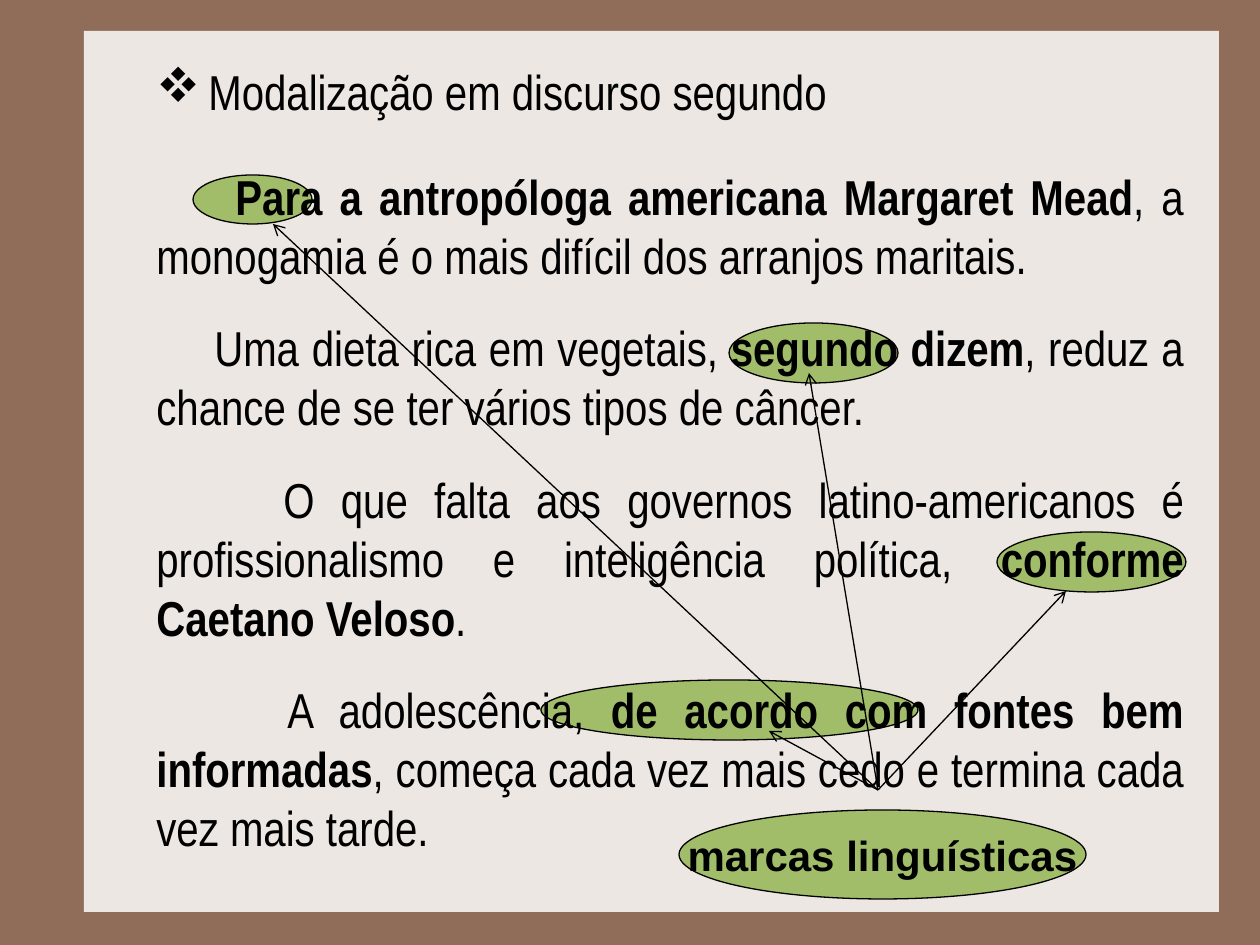
from pptx import Presentation
from pptx.dml.color import RGBColor
from pptx.enum.shapes import MSO_CONNECTOR, MSO_SHAPE
from pptx.enum.text import MSO_ANCHOR, PP_ALIGN
from pptx.oxml.ns import qn
from pptx.util import Pt
from lxml.etree import SubElement

UNIT = 914400 / 126
BROWN = RGBColor(0x90, 0x6D, 0x58)
CREAM = RGBColor(0xED, 0xE7, 0xE3)
GREEN = RGBColor(0xA1, 0xBD, 0x69)
BLACK = RGBColor(0, 0, 0)


def emu(*sizes):
    """Turn pixels into EMU."""
    return [round(size * UNIT) for size in sizes]


class Board:
    """Hold the style and the current slide."""

    def __init__(self, deck):
        self.slide = deck.slides.add_slide(deck.slide_layouts[6])
        self.shapes = self.slide.shapes
        fill = self.slide.background.fill
        fill.solid()
        fill.fore_color.rgb = BROWN

    def shape(self, kind, box, color, edge=None):
        """Add a filled preset shape."""
        item = self.shapes.add_shape(kind, *emu(*box))
        item.shadow.inherit = False
        item.fill.solid()
        item.fill.fore_color.rgb = color
        if edge is None:
            item.line.fill.background()
        else:
            item.line.color.rgb = edge
            item.line.width = Pt(0.75)
        return item

    def oval(self, box):
        """Add a green marker."""
        return self.shape(MSO_SHAPE.OVAL, box, GREEN, BLACK)

    def arrow(self, start, end):
        """Add a thin line with an open head at its end."""
        line = self.shapes.add_connector(MSO_CONNECTOR.STRAIGHT, *emu(*start, *end))
        line.line.color.rgb = BLACK
        line.line.width = Pt(0.75)
        SubElement(line.line._get_or_add_ln(), qn("a:tailEnd"), type="arrow")
        SubElement(line._element.spPr, qn("a:effectLst"))

    def run(self, para, text, size, face, bold=False):
        """Add a styled run."""
        run = para.add_run()
        run.text = text
        font = run.font
        font.size, font.name, font.bold = Pt(size), face, bold
        font.color.rgb = BLACK

    def label(self, item, text):
        """Write a bold centred label on a shape."""
        frame = item.text_frame
        frame.word_wrap = False
        frame.vertical_anchor = MSO_ANCHOR.MIDDLE
        para = frame.paragraphs[0]
        para.alignment = PP_ALIGN.CENTER
        self.run(para, text, 24, "Arial", True)

    def body(self, box, items):
        """Add justified paragraphs whose odd runs are bold."""
        frame = self.shapes.add_textbox(*emu(*box)).text_frame
        frame.word_wrap = True
        for rank, (indent, gap, parts) in enumerate(items):
            para = frame.paragraphs[0] if rank == 0 else frame.add_paragraph()
            para.alignment = PP_ALIGN.JUSTIFY
            para.space_before = Pt(gap)
            props = para._p.get_or_add_pPr()
            props.set("marL", str(emu(max(-indent, 0))[0]))
            props.set("indent", str(emu(indent)[0]))
            if indent < 0:
                SubElement(props, qn("a:buFont"), typeface="Wingdings")
                SubElement(props, qn("a:buChar"), char="v")
            for spot, text in enumerate(parts):
                if text:
                    self.run(para, text, 28, "Arial Narrow", spot % 2 == 1)


TEXTS = [
    (-52, 0, ["Modalização em discurso segundo"]),
    (79, 26.5, ["", "Para a antropóloga americana Margaret Mead",
                ", a monogamia é o mais difícil dos arranjos maritais."]),
    (58, 19.3, ["Uma dieta rica em vegetais, ", "segundo dizem",
                ", reduz a chance de se ter vários tipos de câncer."]),
    (127, 19.3, ["O que falta aos governos latino-americanos é profissionalismo "
                 "e inteligência política, ", "conforme Caetano Veloso", "."]),
    (131, 19.3, ["A adolescência, ", "de acordo com fontes bem informadas",
                 ", começa cada vez mais cedo e termina cada vez mais tarde."]),
]
MARKS = [(541, 680, 377, 60), (997, 532, 189, 60), (729, 323, 169, 60), (193, 175, 119, 49)]
HUB = (878, 790)
TIPS = [(273, 224), (809, 373), (1066, 591), (769, 731)]

deck = Presentation()
deck.slide_width, deck.slide_height = emu(1260, 945)
board = Board(deck)
board.shape(MSO_SHAPE.RECTANGLE, (84, 31, 1135, 881), CREAM)
for mark in MARKS:
    board.oval(mark)
board.body((144, 55, 1052, 814), TEXTS)
board.label(board.oval((679, 810, 407, 89)), "marcas linguísticas")
for tip in TIPS:
    board.arrow(HUB, tip)
deck.save("out.pptx")
